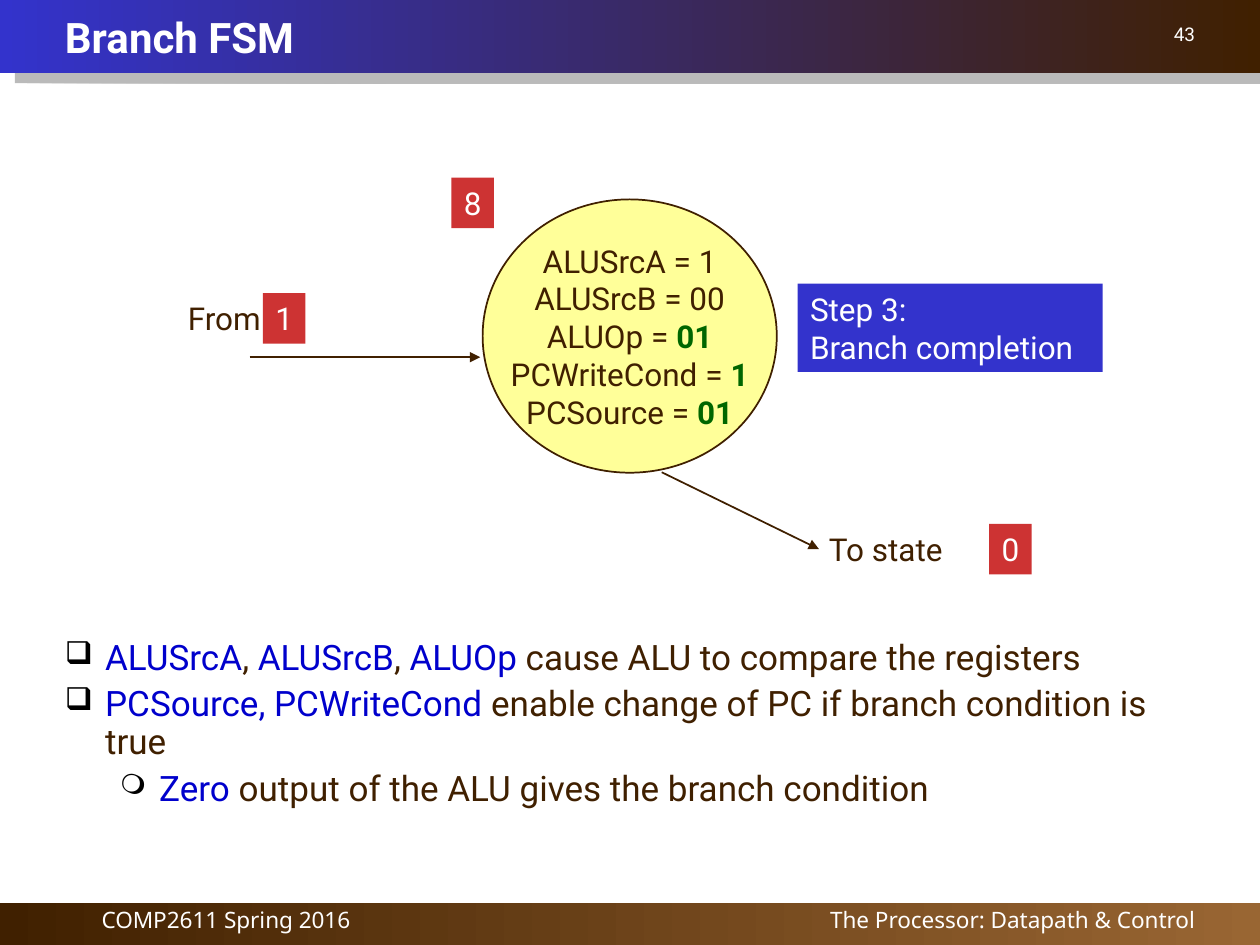
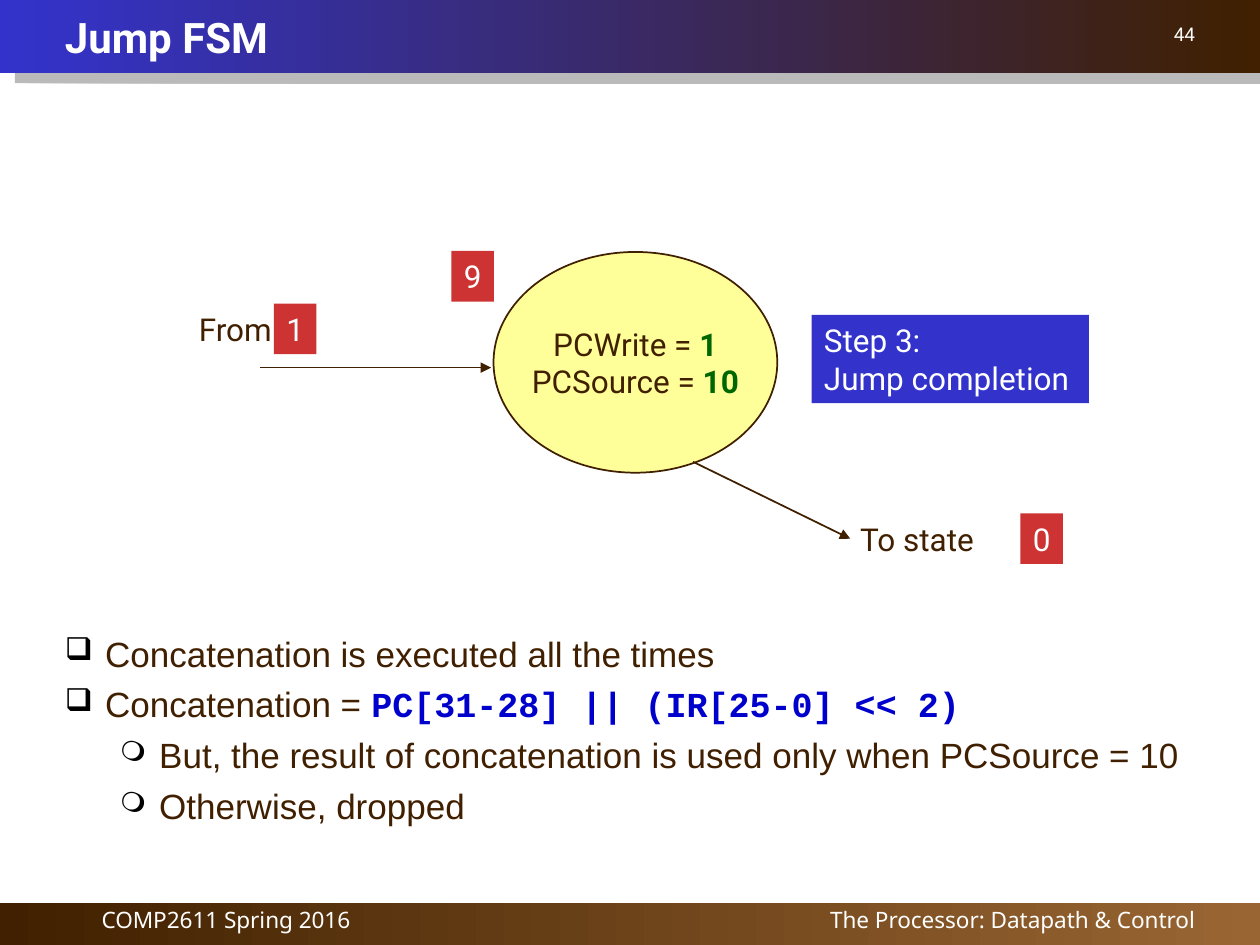
from dataclasses import dataclass

import lxml.etree
import pptx
import pptx.dml.color
import pptx.enum.shapes
import pptx.enum.text
import pptx.oxml
import pptx.oxml.ns
import pptx.util

Cm = pptx.util.Cm
Pt = pptx.util.Pt
qn = pptx.oxml.ns.qn
SHAPE = pptx.enum.shapes.MSO_SHAPE
ALIGN = pptx.enum.text.PP_ALIGN
ANCHOR = pptx.enum.text.MSO_ANCHOR

COLOURS = {
    "ink": "402000",
    "tan": "996633",
    "blue": "3333CC",
    "term": "0000CC",
    "value": "006600",
    "state": "FFFF99",
    "badge": "CD3333",
    "white": "FFFFFF",
    "bullet": "000000",
    "shadow": "777777",
}
SLIDE_WIDTH, SLIDE_HEIGHT = 25.4, 19.05
BADGE_WIDTH, LABEL_HEIGHT = 0.86, 1.02
BODY_LEFT = 1.06


@dataclass(frozen=True)
class Box:
    left: float
    top: float
    width: float
    height: float


@dataclass(frozen=True)
class Run:
    text: str
    colour: str | None = None
    bold: bool | None = None
    font: str | None = None


@dataclass(frozen=True)
class Style:
    size: float = 18
    colour: str = "ink"
    font: str = "Roboto"
    bold: bool = False
    align: ALIGN = ALIGN.LEFT
    anchor: ANCHOR = ANCHOR.TOP
    line_spacing: float = 1.0
    wrap: bool = False


@dataclass(frozen=True)
class Bullet:
    character: str
    size_percent: int
    margin: float
    hanging: float


@dataclass(frozen=True)
class Item:
    level: int
    runs: tuple[Run, ...]


@dataclass(frozen=True)
class StateSlide:
    title: str
    number: int
    state: str
    state_box: Box
    badge_top: float
    signals: tuple[tuple[Run, ...], ...]
    entry: tuple[float, float]
    exit: tuple[float, float]
    step: str
    step_box: Box
    body_box: Box
    body_style: Style
    items: tuple[Item, ...]


BULLETS = (Bullet("❑", 90, 0.81, 0.81), Bullet("❍", 80, 1.9, 0.79))
BADGE = Style(colour="white", align=ALIGN.CENTER)
FOOTER = Style(12.9, "white", "Noto Sans", line_spacing=0.9, wrap=True)


def rgb(name: str) -> pptx.dml.color.RGBColor:
    return pptx.dml.color.RGBColor.from_string(COLOURS[name])


def term(text: str) -> Run:
    return Run(text, "term")


def signal(name: str, value: str, changed: bool = True) -> tuple[Run, ...]:
    """A control signal, with its value highlighted when it matters here."""
    if not changed:
        return (Run(f"{name} = {value}"),)
    return Run(f"{name} = "), Run(value, "value", True)


def add_bullet(paragraph, bullet: Bullet) -> None:
    properties = paragraph._p.get_or_add_pPr()
    properties.set("marL", str(Cm(bullet.margin)))
    properties.set("indent", str(-Cm(bullet.hanging)))
    colour = lxml.etree.SubElement(properties, qn("a:buClr"))
    lxml.etree.SubElement(colour, qn("a:srgbClr"), val=COLOURS["bullet"])
    lxml.etree.SubElement(properties, qn("a:buSzPct"), val=str(bullet.size_percent * 1000))
    lxml.etree.SubElement(properties, qn("a:buChar"), char=bullet.character)


def write(shape, lines, style: Style) -> None:
    """Fill a shape with lines of runs; an Item becomes a bulleted paragraph."""
    frame = shape.text_frame
    frame.word_wrap = style.wrap
    frame.vertical_anchor = style.anchor
    for index, line in enumerate(lines):
        paragraph = frame.paragraphs[0] if index == 0 else frame.add_paragraph()
        paragraph.alignment = style.align
        paragraph.line_spacing = style.line_spacing
        runs = line
        if isinstance(line, Item):
            runs = line.runs
            paragraph.level = line.level
            paragraph.space_before = Pt(5)
            add_bullet(paragraph, BULLETS[line.level])
        font = paragraph.font
        font.name, font.size, font.bold = style.font, Pt(style.size), style.bold
        font.color.rgb = rgb(style.colour)
        for part in runs:
            run = paragraph.add_run()
            run.text = part.text
            if part.colour:
                run.font.color.rgb = rgb(part.colour)
            if part.bold:
                run.font.bold = True
            if part.font:
                run.font.name = part.font


def add_text(slide, box: Box, lines, style: Style) -> None:
    shape = slide.shapes.add_textbox(Cm(box.left), Cm(box.top), Cm(box.width), Cm(box.height))
    write(shape, lines, style)


def add_shape(slide, box: Box, fill: str, kind: SHAPE = SHAPE.RECTANGLE):
    shape = slide.shapes.add_shape(
        kind, Cm(box.left), Cm(box.top), Cm(box.width), Cm(box.height))
    shape.shadow.inherit = False
    shape.fill.solid()
    shape.fill.fore_color.rgb = rgb(fill)
    shape.line.fill.background()
    return shape


def add_band(slide, box: Box, left_colour: str, right_colour: str):
    band = add_shape(slide, box, left_colour)
    band.fill.gradient()
    band.fill.gradient_angle = 0
    for stop, colour in zip(band.fill.gradient_stops, (left_colour, right_colour)):
        stop.color.rgb = rgb(colour)
    return band


def drop_shadow(shape) -> None:
    effects = shape._element.spPr.find(qn("a:effectLst"))
    shadow = lxml.etree.SubElement(
        effects, qn("a:outerShdw"), dist=str(Pt(10.4)), dir=str(35 * 60000),
        algn="ctr", rotWithShape="0")
    colour = lxml.etree.SubElement(shadow, qn("a:srgbClr"), val=COLOURS["shadow"])
    lxml.etree.SubElement(colour, qn("a:alpha"), val="50000")


def add_badge(slide, left: float, top: float, state: str) -> None:
    badge = add_shape(slide, Box(left, top, BADGE_WIDTH, LABEL_HEIGHT), "badge")
    write(badge, [(Run(state),)], BADGE)


def add_arrow(slide, start: tuple[float, float], end: tuple[float, float]) -> None:
    arrow = slide.shapes.add_connector(
        pptx.enum.shapes.MSO_CONNECTOR.STRAIGHT, *map(Cm, start + end))
    arrow.line.color.rgb = rgb("ink")
    arrow.line.width = Pt(1)
    lxml.etree.SubElement(arrow.line._get_or_add_ln(), qn("a:tailEnd"), type="triangle")
    lxml.etree.SubElement(arrow._element.spPr, qn("a:effectLst"))


def add_frame(slide, title: str, number: int) -> None:
    """Bands, footers, slide number and title."""
    add_band(slide, Box(0, 18.21, SLIDE_WIDTH, 0.84), "ink", "tan")
    drop_shadow(add_band(slide, Box(0, 0, SLIDE_WIDTH, 1.47), "blue", "ink"))
    for box, text, style in (
        (Box(0.64, 18.21, 7.83, 0.86), "COMP2611 Spring 2016",
         Style(12.9, "white", "Noto Sans", align=ALIGN.CENTER, line_spacing=0.9, wrap=True)),
        (Box(11.64, 18.21, 12.7, 0.86), "The Processor: Datapath & Control",
         Style(12.9, "white", "Noto Sans", align=ALIGN.RIGHT, line_spacing=0.9, wrap=True)),
        (Box(19.05, 0.43, 5.29, 0.86), str(number),
         Style(10.8, "white", align=ALIGN.RIGHT, line_spacing=0.8, wrap=True)),
        (Box(BODY_LEFT, 0, 23.28, 1.5), title,
         Style(24, "white", bold=True, anchor=ANCHOR.MIDDLE, wrap=True)),
    ):
        add_text(slide, box, [(Run(text),)], style)


def add_entry(slide, left: float, top: float) -> None:
    add_text(slide, Box(left, top, 2.08, LABEL_HEIGHT), [(Run("From"),)],
             Style(align=ALIGN.RIGHT))
    add_badge(slide, left + 1.87, top, "1")
    add_arrow(slide, (left + 1.6, top + 1.29), (left + 6.25, top + 1.29))


def add_exit(slide, left: float, top: float) -> None:
    add_text(slide, Box(left, top, 2.87, LABEL_HEIGHT), [(Run("To state"),)], Style())
    add_badge(slide, left + 3.48, top, "0")
    add_arrow(slide, (left - 3.12, top - 1.04), (left + 0.05, top + 0.51))


def build_slide(presentation, content: StateSlide) -> None:
    slide = presentation.slides.add_slide(presentation.slide_layouts[6])
    add_frame(slide, content.title, content.number)
    add_text(slide, content.body_box, content.items, content.body_style)
    state = add_shape(slide, content.state_box, "state", SHAPE.OVAL)
    state.line.color.rgb = rgb("ink")
    state.line.width = Pt(1)
    write(state, content.signals, Style(align=ALIGN.CENTER, anchor=ANCHOR.MIDDLE))
    add_entry(slide, *content.entry)
    step = add_shape(slide, content.step_box, "blue")
    write(step, [(Run("Step 3:"),), (Run(content.step),)], Style(colour="white", wrap=True))
    add_badge(slide, 9.1, content.badge_top, content.state)
    add_exit(slide, *content.exit)


SLIDES = (
    StateSlide(
        "Branch FSM", 43, "8", Box(9.73, 4.02, 5.93, 5.51), 3.58,
        (signal("ALUSrcA", "1", False), signal("ALUSrcB", "00", False),
         signal("ALUOp", "01"), signal("PCWriteCond", "1"), signal("PCSource", "01")),
        (3.43, 5.91), (16.46, 10.56), "Branch completion", Box(16.08, 5.72, 6.15, 1.78),
        Box(BODY_LEFT, 12.78, 23.7, 4.8), Style(20, line_spacing=0.9, wrap=True),
        (Item(0, (term("ALUSrcA"), Run(", "), term("ALUSrcB"), Run(", "), term("ALUOp"),
                  Run(" cause ALU to compare the registers"))),
         Item(0, (term("PCSource, PCWriteCond"),
                  Run(" enable change of PC if branch condition is true"))),
         Item(1, (term("Zero"), Run(" output of the ALU gives the branch condition")))),
    ),
    StateSlide(
        "Jump FSM", 44, "9", Box(9.95, 5.08, 5.72, 4.45), 5.06,
        (signal("PCWrite", "1"), signal("PCSource", "10")),
        (3.65, 6.12), (17.09, 10.35), "Jump completion", Box(16.36, 6.35, 5.59, 1.78),
        Box(BODY_LEFT, 12.62, 23.28, 4.8), Style(20, font="Arial", wrap=True),
        (Item(0, (Run("Concatenation is executed all the times"),)),
         Item(0, (Run("Concatenation = "),
                  Run("PC[31-28] || (IR[25-0] << 2)", "term", True, "Courier New"))),
         Item(1, (Run("But, the result of concatenation is used only when PCSource = 10"),)),
         Item(1, (Run("Otherwise, dropped"),))),
    ),
)


def main() -> None:
    presentation = pptx.Presentation()
    presentation.slide_width = Cm(SLIDE_WIDTH)
    presentation.slide_height = Cm(SLIDE_HEIGHT)
    for content in SLIDES:
        build_slide(presentation, content)
    presentation.save("out.pptx")


if __name__ == "__main__":
    main()
